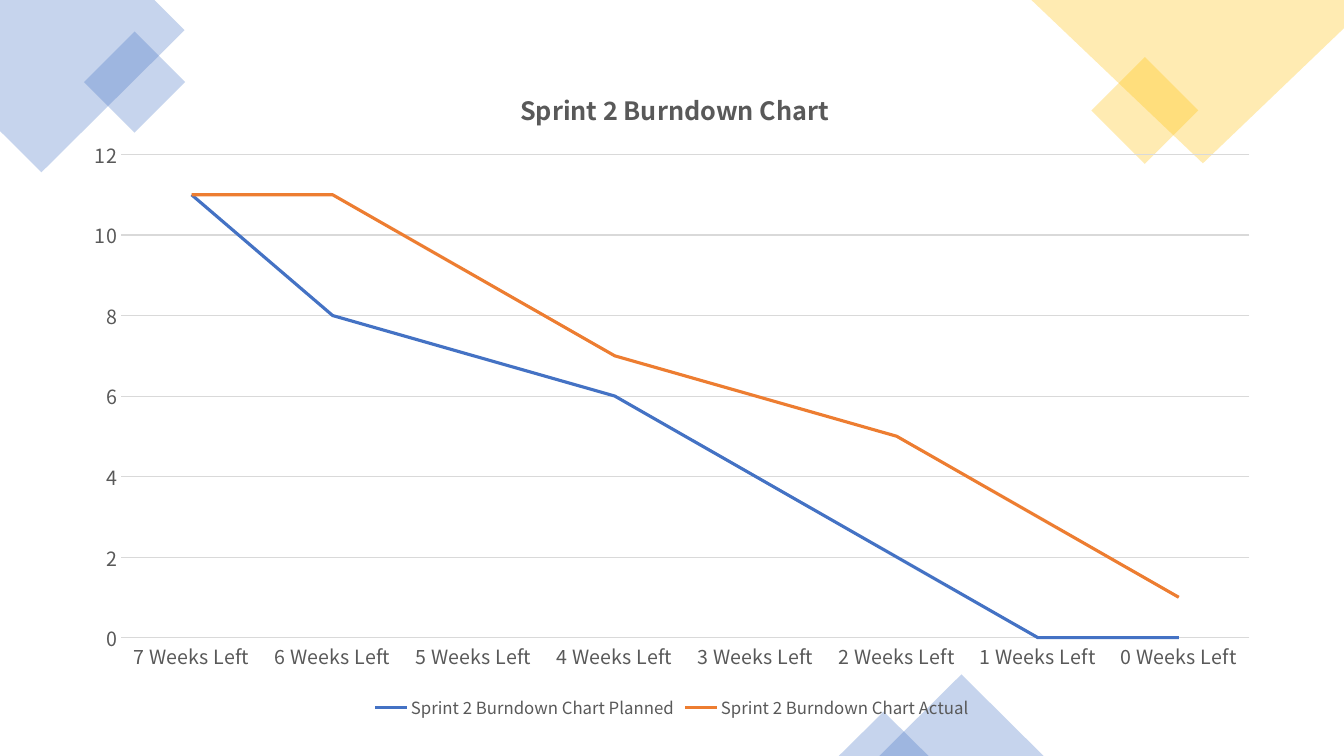
"""Build the burndown slide: a two-line chart over translucent corner shapes."""
from lxml import etree
from pptx import Presentation, util as u
from pptx.chart.data import CategoryChartData
from pptx.dml.color import RGBColor
from pptx.enum import chart as ch, shapes
from pptx.oxml.ns import qn

BLUE = RGBColor(0x44, 0x72, 0xC4)
ORANGE = RGBColor(0xED, 0x7D, 0x31)
GOLD = RGBColor(0xFF, 0xC0, 0x00)
GREY = RGBColor(0x59, 0x59, 0x59)
RULE = RGBColor(0xD9, 0xD9, 0xD9)
FONT = "Noto Sans CJK SC"


class Deck:
    """Hold the style and current slide; lengths are percentages of the slide."""

    def __init__(self, prs, alpha=30):
        self.w, self.h = prs.slide_width, prs.slide_height
        self.s = prs.slides.add_slide(prs.slide_layouts[6])
        self.alpha = alpha

    def box(self, x, y, w, h):
        return [round(v * side / 100) for v, side in zip((x, y, w, h), (self.w, self.h) * 2)]

    def tint(self, sp, color):
        sp.shadow.inherit = False
        sp.fill.solid()
        sp.fill.fore_color.rgb = color
        sp.line.fill.background()
        clr = sp.fill._xPr.find(qn("a:solidFill"))[0]
        etree.SubElement(clr, qn("a:alpha")).set("val", str(self.alpha * 1000))

    def shape(self, kind, at, color, rotation=0):
        sp = self.s.shapes.add_shape(kind, *self.box(*at))
        sp.rotation = rotation
        self.tint(sp, color)

    def polygon(self, points, color):
        first, *rest = [self.box(x, y, 0, 0)[:2] for x, y in points]
        builder = self.s.shapes.build_freeform(*first)
        builder.add_line_segments(rest)
        self.tint(builder.convert_to_shape(), color)

    def font(self, font, size, bold=False):
        font.name, font.size, font.bold = FONT, u.Pt(size), bold
        font.color.rgb = GREY

    def rule(self, line):
        line.color.rgb, line.width = RULE, u.Pt(0.75)

    def place(self, parent, index, **shares):
        layout = parent.find(qn("c:layout"))
        if layout is None:
            layout = etree.Element(qn("c:layout"))
            parent.insert(index, layout)
        manual = etree.SubElement(layout, qn("c:manualLayout"))
        if "w" in shares:
            etree.SubElement(manual, qn("c:layoutTarget")).set("val", "inner")
        for mode in ("xMode", "yMode"):
            etree.SubElement(manual, qn("c:" + mode)).set("val", "edge")
        for name, value in shares.items():
            etree.SubElement(manual, qn("c:" + name)).set("val", str(value))

    def line_chart(self, at, title, cats, series):
        data = CategoryChartData(number_format="General")
        data.categories = cats
        for name, values, _ in series:
            data.add_series(name, values)
        chart = self.s.shapes.add_chart(ch.XL_CHART_TYPE.LINE, *self.box(*at), data).chart
        self.font(chart.font, 14)

        tf = chart.chart_title.text_frame
        tf.text = title
        self.font(tf.paragraphs[0].font, 18, True)
        self.place(chart.chart_title._element, 1, x=0.37, y=0.04)
        self.place(chart._chartSpace.chart.plotArea, 0, x=0.042, y=0.147, w=0.938, h=0.724)

        chart.has_legend = True
        chart.legend.position = ch.XL_LEGEND_POSITION.BOTTOM
        chart.legend.include_in_layout = False
        self.font(chart.legend.font, 12)

        cat, val = chart.category_axis, chart.value_axis
        for axis in (cat, val):
            axis.major_tick_mark = axis.minor_tick_mark = ch.XL_TICK_MARK.NONE
            self.font(axis.tick_labels.font, 14)
        self.rule(cat.format.line)
        val.format.line.fill.background()
        self.rule(val.major_gridlines.format.line)
        val.minimum_scale, val.maximum_scale, val.major_unit = 0, 12, 2

        chart.plots[0].vary_by_categories = False
        for line, (_, _, color) in zip(chart.plots[0].series, series):
            line.smooth = False
            line.marker.style = ch.XL_MARKER_STYLE.NONE
            line.format.line.color.rgb = color
            line.format.line.width = u.Pt(2.25)


prs = Presentation()
prs.slide_width, prs.slide_height = u.Inches(13.33), u.Inches(7.5)
deck = Deck(prs)
SQUARE, TRIANGLE = shapes.MSO_SHAPE.RECTANGLE, shapes.MSO_SHAPE.ISOSCELES_TRIANGLE

deck.polygon([(11.48, 0), (0, 0), (0, 17.33), (3.08, 22.8), (13.73, 4)], BLUE)
deck.shape(SQUARE, (7.35, 6.13, 5.33, 9.47), BLUE, 315)
deck.shape(SQUARE, (82.37, 9.6, 5.63, 10), GOLD, 315)
deck.polygon([(100, 0), (76.74, 0), (89.5, 21.6), (100, 3.73)], GOLD)
deck.shape(TRIANGLE, (65.42, 89.2, 12.23, 10.8), BLUE)
deck.shape(TRIANGLE, (62.41, 94.13, 6.68, 5.87), BLUE)

TITLE = "Sprint 2 Burndown Chart"
deck.line_chart(
    (5.25, 7.47, 89.5, 88.27), TITLE,
    [f"{week} Weeks Left" for week in range(7, -1, -1)],
    [(f"{TITLE} Planned", (11, 8, 7, 6, 4, 2, 0, 0), BLUE),
     (f"{TITLE} Actual", (11, 11, 9, 7, 6, 5, 3, 1), ORANGE)])

prs.save("out.pptx")
